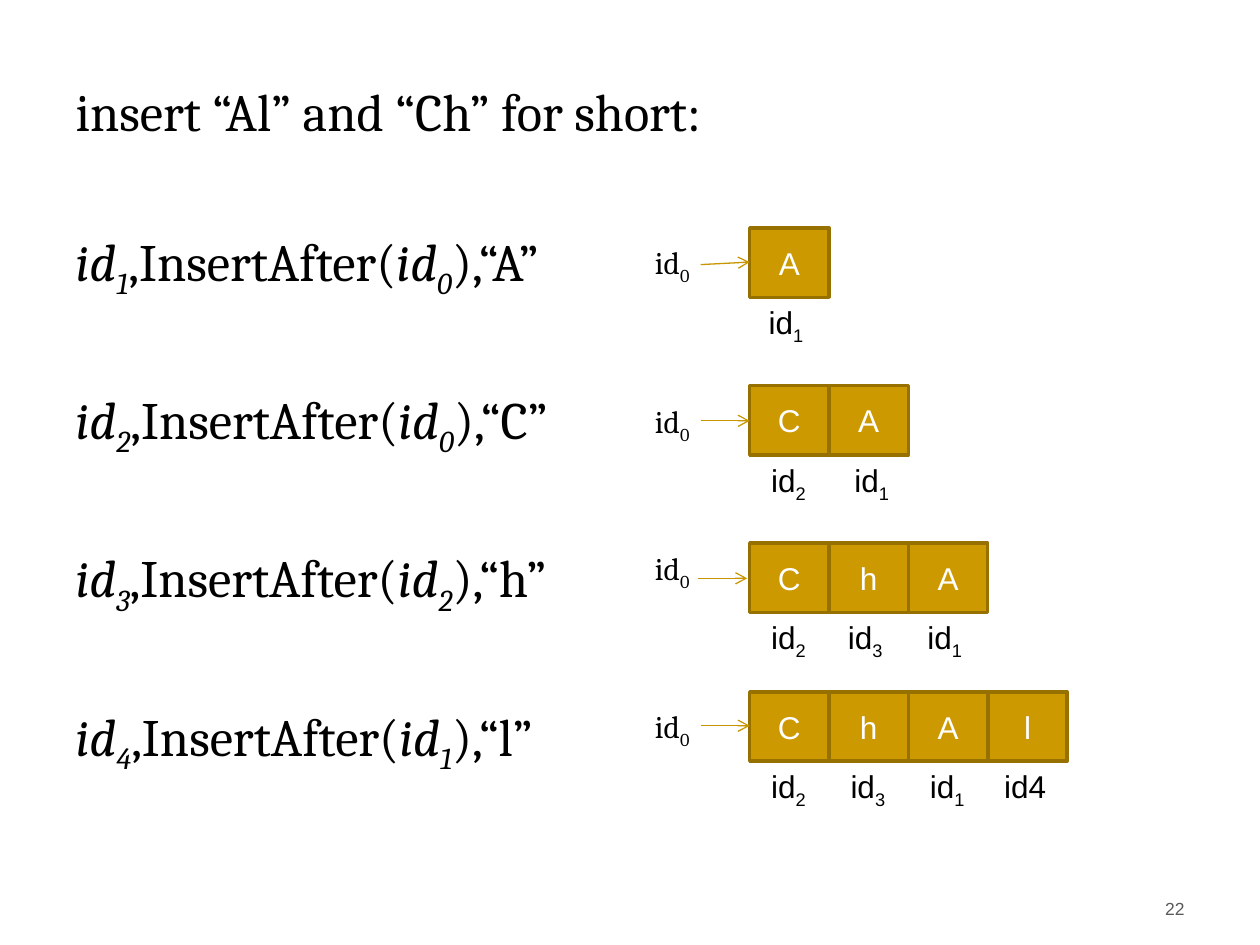
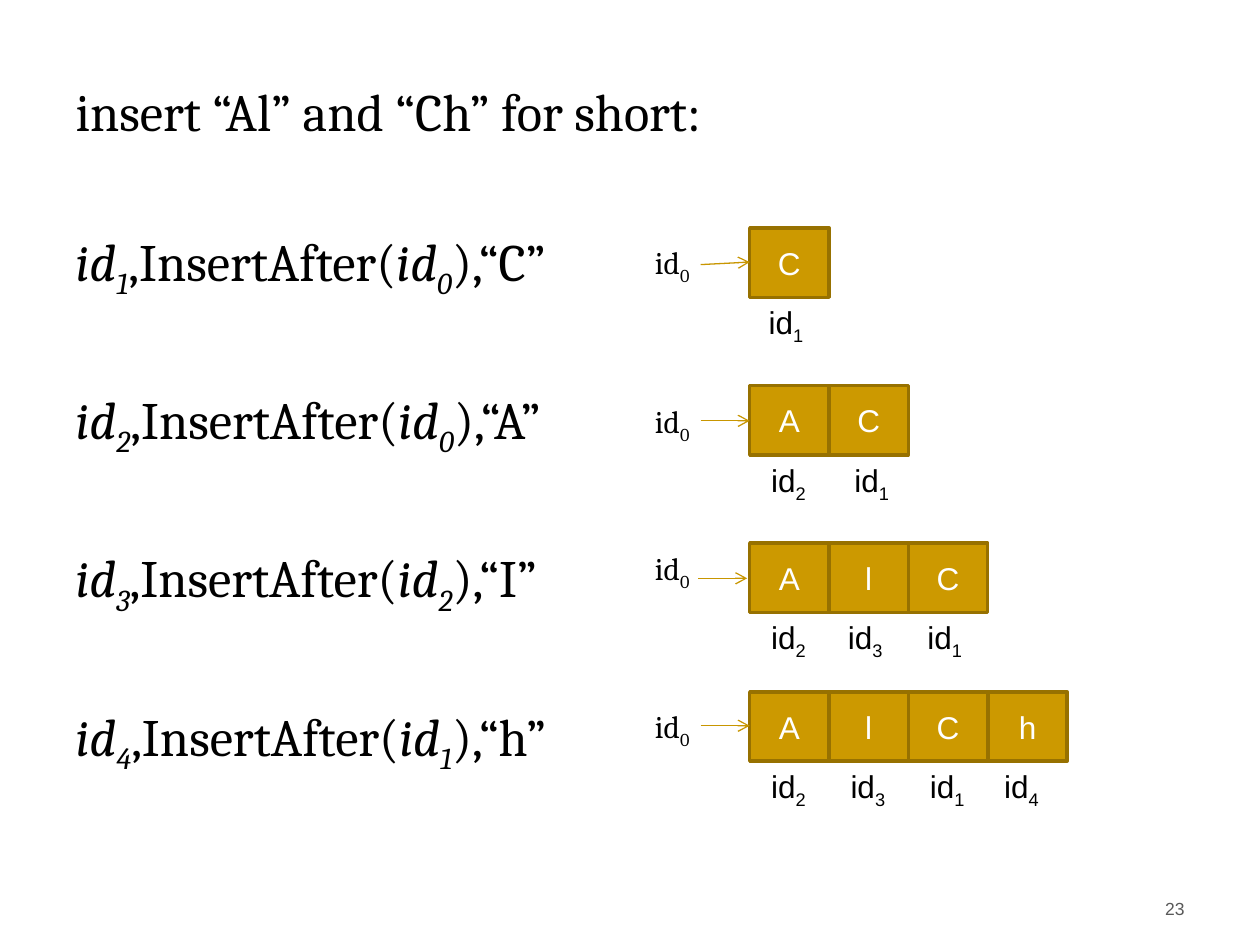
from lxml import etree
from pptx import Presentation
from pptx.dml.color import RGBColor
from pptx.enum.shapes import MSO_CONNECTOR, MSO_SHAPE
from pptx.enum.text import MSO_ANCHOR, MSO_AUTO_SIZE, PP_ALIGN
from pptx.oxml.ns import qn
from pptx.util import Inches, Pt

RECTANGLE = MSO_SHAPE.RECTANGLE
STRAIGHT = MSO_CONNECTOR.STRAIGHT
MIDDLE, TOP = MSO_ANCHOR.MIDDLE, MSO_ANCHOR.TOP
LEFT, CENTER, RIGHT = PP_ALIGN.LEFT, PP_ALIGN.CENTER, PP_ALIGN.RIGHT
NO_AUTOFIT = MSO_AUTO_SIZE.NONE

COLORS = {
    "text": "000000",
    "cell": "CC9900",
    "cell_border": "977100",
    "cell_text": "FFFFFF",
    "arrow": "C89600",
    "number": "595959",
}
COMMAND = {"name": "Cambria", "size": Pt(30), "color": "text"}
ROOT_LABEL = {"name": "Cambria", "size": Pt(18), "color": "text"}
CELL_LABEL = {"name": "Arial", "size": Pt(18), "color": "text"}
CELL_LETTER = {"name": "Arial", "size": Pt(18), "color": "cell_text"}
PAGE_NUMBER = {"name": "Arial", "size": Pt(10), "color": "number"}

HEADING = "insert “Al” and “Ch” for short:"
CELL_LEFT, CELL_WIDTH, CELL_HEIGHT = 5.95, 0.63, 0.55

# Each step inserts the next id after "after"; "order" is the resulting list of ids.
STEPS = [
    {"after": 0, "order": [1], "top": 1.81, "root_top": 1.88,
     "arrow": (5.56, 2.1, 5.95, 2.08), "label_lefts": [5.93]},
    {"after": 0, "order": [2, 1], "top": 3.06, "root_top": 3.14,
     "arrow": (5.56, 3.34, 5.95, 3.34), "label_lefts": [5.95, 6.61]},
    {"after": 2, "order": [2, 3, 1], "top": 4.31, "root_top": 4.31,
     "arrow": (5.54, 4.59, 5.93, 4.59), "label_lefts": [5.95, 6.56, 7.19]},
    {"after": 1, "order": [2, 3, 1, 4], "top": 5.49, "root_top": 5.56,
     "arrow": (5.56, 5.76, 5.95, 5.76), "label_lefts": [5.95, 6.58, 7.21, 7.8]},
]
SLIDES = [
    {"number": "22", "typed": "AChl", "letters": "AChl", "plain_id": 4},
    {"number": "23", "typed": "CAIh", "letters": "CAlh", "plain_id": None},
]


def add_runs(paragraph, parts, text_format):
    """Add (text, marks) parts; the marks may hold i for italic and s for subscript."""
    for text, marks in parts:
        run = paragraph.add_run()
        run.text = text
        for name, value in text_format.items():
            if name == "color":
                run.font.color.rgb = RGBColor.from_string(COLORS[value])
            else:
                setattr(run.font, name, value)
        run.font.italic = "i" in marks
        if "s" in marks:
            run.font._element.set("baseline", "-25000")


def add_label(slide, box, parts, text_format, alignment=LEFT, margin_left=0.1):
    shape = slide.shapes.add_textbox(*map(Inches, box))
    shape.text_frame.word_wrap = True
    shape.text_frame.margin_left = Inches(margin_left)
    paragraph = shape.text_frame.paragraphs[0]
    paragraph.alignment = alignment
    add_runs(paragraph, parts, text_format)


presentation = Presentation()
presentation.slide_width, presentation.slide_height = Inches(10), Inches(7.5)
content_layout = presentation.slide_layouts.get_by_name("Title and Content")

for content in SLIDES:
    slide = presentation.slides.add_slide(content_layout)
    title = slide.shapes.title
    title.element.getparent().remove(title.element)

    # Heading and the four commands
    body = slide.placeholders[1]
    body.left, body.top = Inches(0.5), Inches(0.58)
    body.width, body.height = Inches(9), Inches(6.45)
    frame = body.text_frame
    for name, value in {"auto_size": NO_AUTOFIT, "vertical_anchor": TOP,
                        "word_wrap": True}.items():
        setattr(frame, name, value)
    lines = [[(HEADING, "")]]
    for new_id, (step, character) in enumerate(zip(STEPS, content["typed"]), start=1):
        lines.append([("id", "i"), (str(new_id), "is"), (",InsertAfter(", ""),
                      ("id", "i"), (str(step["after"]), "is"), (f"),“{character}”", "")])
    for index, parts in enumerate(lines):
        paragraph = frame.add_paragraph() if index else frame.paragraphs[0]
        paragraph.alignment = LEFT
        paragraph.space_before = Pt(49.5 if index else 0)
        properties = paragraph._p.get_or_add_pPr()
        properties.set("marL", "0")
        properties.set("indent", "0")
        etree.SubElement(properties, qn("a:buNone"))
        add_runs(paragraph, parts, COMMAND)

    add_label(slide, (7.17, 7.08, 2.33, 0.39), [(content["number"], "")],
              PAGE_NUMBER, RIGHT)

    # Linked list after each command
    for step in STEPS:
        for column, (cell_id, label_left) in enumerate(zip(step["order"], step["label_lefts"])):
            cell = slide.shapes.add_shape(
                RECTANGLE, Inches(CELL_LEFT + column * CELL_WIDTH), Inches(step["top"]),
                Inches(CELL_WIDTH), Inches(CELL_HEIGHT))
            cell.shadow.inherit = False
            cell.fill.solid()
            cell.fill.fore_color.rgb = RGBColor.from_string(COLORS["cell"])
            cell.line.color.rgb = RGBColor.from_string(COLORS["cell_border"])
            cell.line.width = Pt(2)
            cell.text_frame.vertical_anchor = MIDDLE
            paragraph = cell.text_frame.paragraphs[0]
            paragraph.alignment = CENTER
            add_runs(paragraph, [(content["letters"][cell_id - 1], "")], CELL_LETTER)

            marks = "" if cell_id == content["plain_id"] else "s"
            add_label(slide, (label_left, step["top"] + CELL_HEIGHT, 0.68, 0.4),
                      [("id", ""), (str(cell_id), marks)], CELL_LABEL, margin_left=0.17)

        add_label(slide, (4.98, step["root_top"], 0.59, 0.4),
                  [("id", ""), ("0", "s")], ROOT_LABEL, RIGHT)
        arrow = slide.shapes.add_connector(STRAIGHT, *map(Inches, step["arrow"]))
        arrow.line.color.rgb = RGBColor.from_string(COLORS["arrow"])
        arrow.line.width = Pt(0.75)
        etree.SubElement(arrow.line._get_or_add_ln(), qn("a:tailEnd"), type="arrow")
        etree.SubElement(arrow._element.spPr, qn("a:effectLst"))

presentation.save("out.pptx")
